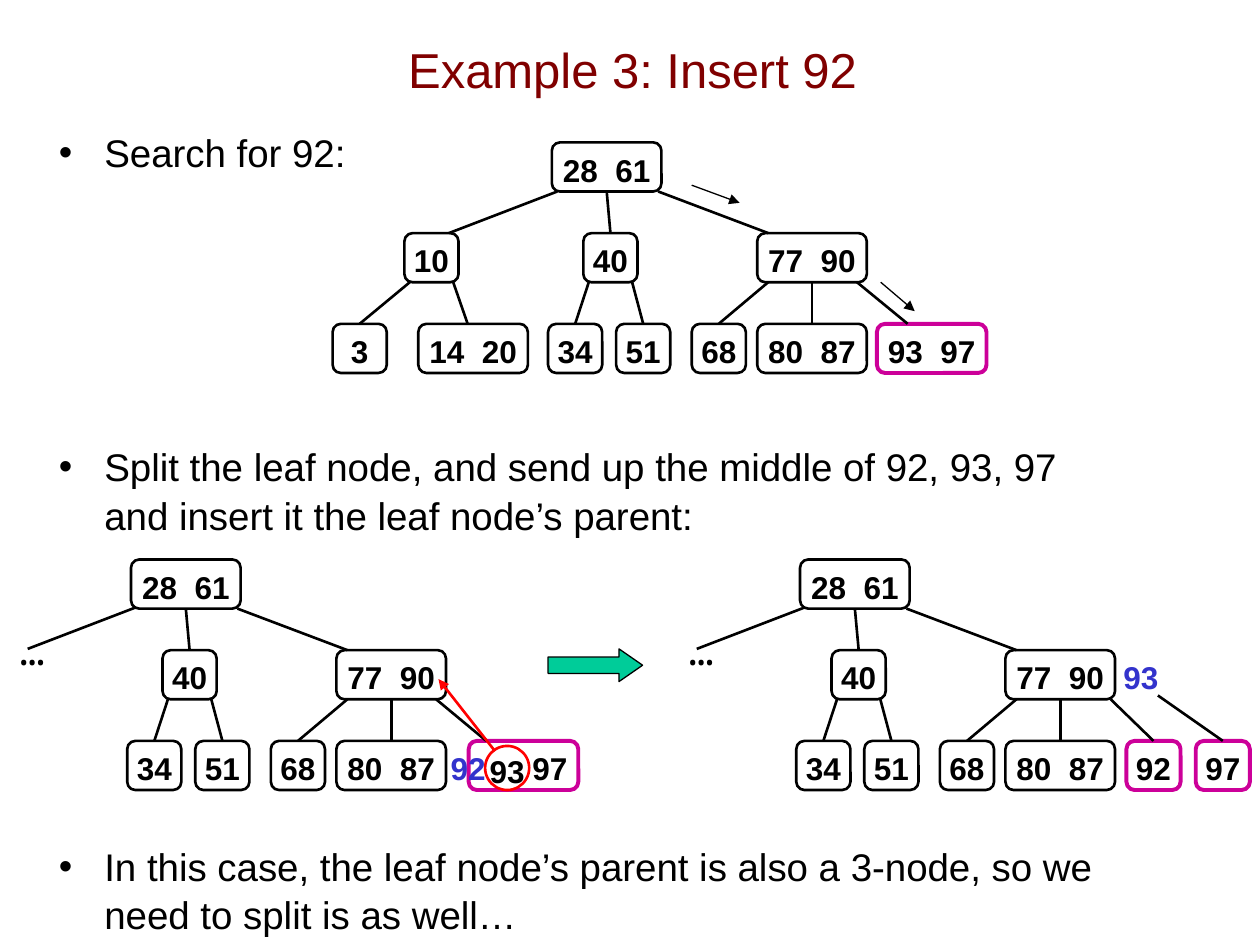
"""Build the slide on inserting 92 into a 2-3 tree."""
from dataclasses import dataclass

from lxml import etree
from pptx import Presentation
from pptx.dml.color import RGBColor
from pptx.enum.shapes import MSO_CONNECTOR, MSO_SHAPE
from pptx.enum.text import MSO_ANCHOR, PP_ALIGN
from pptx.oxml.ns import qn
from pptx.shapes.autoshape import Shape
from pptx.shapes.connector import Connector
from pptx.slide import Slide
from pptx.util import Emu, Inches, Pt

STRAIGHT = MSO_CONNECTOR.STRAIGHT
ROUNDED, OVAL, RIGHT_ARROW = MSO_SHAPE.ROUNDED_RECTANGLE, MSO_SHAPE.OVAL, MSO_SHAPE.RIGHT_ARROW
LEFT, CENTER = PP_ALIGN.LEFT, PP_ALIGN.CENTER
TOP, MIDDLE = MSO_ANCHOR.TOP, MSO_ANCHOR.MIDDLE
TOP_SIDE, BOTTOM_SIDE = 0, 2

SLIDE_WIDTH, SLIDE_HEIGHT = Inches(10), Inches(7.5)
COLUMN, ROW = SLIDE_WIDTH // 100, SLIDE_HEIGHT // 75
LEVEL_ROWS, NODE_ROWS = 7.2, 3.9
SINGLE, DOUBLE = 4.3, 8.7
BLACK, WHITE, MAROON = "000000", "FFFFFF", "800000"
MAGENTA, RED, BLUE, GREEN = "CC0099", "FF0000", "3333CC", "00CC99"


@dataclass(frozen=True)
class Node:
    """A tree node, placed in columns from the root and by level."""
    keys: str
    column: float
    level: int
    columns: float = SINGLE
    outline: str = BLACK
    weight: float = 1.5


@dataclass(frozen=True)
class Edge:
    """A branch, with its ends as shares of the node widths."""
    parent: str
    child: str
    leave: float = 0.5
    enter: float = 0.5


@dataclass(frozen=True)
class Tree:
    """A tree, placed by the corner of its root."""
    column: float
    row: float
    nodes: tuple[Node, ...]
    edges: tuple[Edge, ...]
    elided: bool = True


SHARED_NODES = (
    Node("28  61", 0, 0, DOUBLE), Node("40", 2.5, 1), Node("77  90", 16.3, 1, DOUBLE),
    Node("34", -0.3, 2), Node("51", 5.1, 2), Node("68", 11.1, 2),
    Node("80  87", 16.3, 2, DOUBLE),
)
SHARED_EDGES = (
    Edge("28  61", "40"), Edge("28  61", "77  90", 0.97, 0.1),
    Edge("40", "34", 0.1), Edge("40", "51", 0.9),
    Edge("77  90", "68", 0.1), Edge("77  90", "80  87"),
)
TREES = (
    Tree(43.8, 11.3, SHARED_NODES + (
        Node("10", -11.7, 1), Node("3", -17.4, 2), Node("14  20", -10.6, 2, DOUBLE),
        Node("93  97", 25.8, 2, DOUBLE, MAGENTA, 2.25),
    ), SHARED_EDGES + (
        Edge("28  61", "10", 0.05, 0.82), Edge("10", "3", 0.1),
        Edge("10", "14  20", 0.9, 0.45), Edge("77  90", "93  97", 0.91, 0.28),
    ), elided=False),
    Tree(10.4, 44.4, SHARED_NODES + (Node("", 26.8, 2, DOUBLE, MAGENTA, 2.25),),
         SHARED_EDGES + (Edge("77  90", "", 0.91, 0.16),)),
    Tree(63.5, 44.4, SHARED_NODES + (
        Node("92", 25.9, 2, SINGLE, MAGENTA, 2.25), Node("97", 31.4, 2, SINGLE, MAGENTA, 2.25),
    ), SHARED_EDGES + (Edge("77  90", "92", 0.96),)),
)
BULLETS = (
    (9.6, "Search for 92:"),
    (34.5, "Split the leaf node, and send up the middle of 92, 93, 97\n"
           "and insert it the leaf node’s parent:"),
    (66.2, "In this case, the leaf node’s parent is also a 3-node, so we\n"
           "need to split is as well…"),
)


def rgb(color: str) -> RGBColor:
    """Turn a hex string into a colour."""
    return RGBColor.from_string(color)


def place(column: float, row: float) -> tuple[Emu, Emu]:
    """Turn a grid position or size into slide lengths."""
    return Emu(round(column * COLUMN)), Emu(round(row * ROW))


def write(holder: Shape, words: str, size: float = 18, color: str = BLACK, bold: bool = True,
          align: PP_ALIGN = CENTER, anchor: MSO_ANCHOR = MIDDLE, font: str = "Arial") -> None:
    """Set the single paragraph of a shape."""
    frame = holder.text_frame
    frame.word_wrap = False
    frame.vertical_anchor = anchor
    paragraph = frame.paragraphs[0]
    paragraph.text = words
    paragraph.alignment = align
    paragraph.font.name, paragraph.font.size, paragraph.font.bold = font, Pt(size), bold
    paragraph.font.color.rgb = rgb(color)


def add_label(slide: Slide, column: float, row: float, columns: float, rows: float,
              words: str, **style) -> Shape:
    """Add a text box."""
    label = slide.shapes.add_textbox(*place(column, row), *place(columns, rows))
    write(label, words, **style)
    return label


def add_bullet(slide: Slide, row: float, words: str) -> None:
    """Add a bulleted statement."""
    bullet = add_label(slide, 3.7, row, 96.3, 8.5, words, size=22, bold=False,
                       align=LEFT, anchor=TOP)
    bullet.text_frame.word_wrap = True
    paragraph = bullet.text_frame.paragraphs[0]
    paragraph.line_spacing = 1.05
    properties = paragraph._p.get_or_add_pPr()
    properties.set("marL", str(Inches(0.36)))
    properties.set("indent", str(-Inches(0.36)))
    etree.SubElement(properties, qn("a:buFont")).set("typeface", "Arial")
    etree.SubElement(properties, qn("a:buChar")).set("char", "•")


def add_outline(slide: Slide, kind: MSO_SHAPE, column: float, row: float, columns: float,
                rows: float, outline: str, weight: float, fill: str = WHITE) -> Shape:
    """Add a filled and outlined shape."""
    outlined = slide.shapes.add_shape(kind, *place(column, row), *place(columns, rows))
    outlined.shadow.inherit = False
    outlined.fill.solid()
    outlined.fill.fore_color.rgb = rgb(fill)
    outlined.line.color.rgb = rgb(outline)
    outlined.line.width = Pt(weight)
    frame = outlined.text_frame
    frame.margin_left = frame.margin_right = frame.margin_bottom = 0
    frame.margin_top = Inches(0.04)
    return outlined


def add_line(slide: Slide, start: tuple[int, int], end: tuple[int, int], color: str = BLACK,
             weight: float = 1.5, arrow: bool = False) -> Connector:
    """Add a straight line, with an arrowhead at its end if asked."""
    line = slide.shapes.add_connector(STRAIGHT, *start, *end)
    line.line.color.rgb = rgb(color)
    line.line.width = Pt(weight)
    if arrow:
        etree.SubElement(line.line._get_or_add_ln(), qn("a:tailEnd")).set("type", "triangle")
    etree.SubElement(line._element.spPr, qn("a:effectLst"))
    return line


def draw_tree(slide: Slide, tree: Tree) -> None:
    """Draw the nodes of a tree and the branches between them."""
    nodes = {}
    for node in tree.nodes:
        box = add_outline(slide, ROUNDED, tree.column + node.column,
                          tree.row + node.level * LEVEL_ROWS, node.columns, NODE_ROWS,
                          node.outline, node.weight)
        if node.keys:
            write(box, node.keys)
        nodes[node.keys] = box
    for edge in tree.edges:
        parent, child = nodes[edge.parent], nodes[edge.child]
        start = round(parent.left + edge.leave * parent.width), parent.top + parent.height
        end = round(child.left + edge.enter * child.width), child.top
        branch = add_line(slide, start, end)
        if edge.leave == 0.5:
            branch.begin_connect(parent, BOTTOM_SIDE)
        if edge.enter == 0.5:
            branch.end_connect(child, TOP_SIDE)
    if tree.elided:
        add_line(slide, place(tree.column + 0.4, tree.row + 3.8),
                 place(tree.column - 8.2, tree.row + 7.1))
        add_label(slide, tree.column - 9.9, tree.row + 4.6, 4.1, 5, "…", size=24,
                  bold=False, anchor=TOP, font="Noto Sans Mono")
    if "97" in nodes:
        add_line(slide, place(91.9, 55.2), place(95, 58.8)).end_connect(nodes["97"], TOP_SIDE)


def main() -> None:
    """Build and save the slide."""
    deck = Presentation()
    deck.slide_width, deck.slide_height = SLIDE_WIDTH, SLIDE_HEIGHT
    slide = deck.slides.add_slide(deck.slide_layouts[6])
    add_label(slide, 4.3, 0.8, 91.8, 9.3, "Example 3: Insert 92", size=28, color=MAROON, bold=False)
    for row, words in BULLETS:
        add_bullet(slide, row, words)
    for tree in TREES:
        draw_tree(slide, tree)
    for start, end in (((54.9, 14.7), (58.7, 16.1)), ((69.9, 22.4), (72.6, 24.7))):
        add_line(slide, place(*start), place(*end), weight=0.75, arrow=True)
    becomes = add_outline(slide, RIGHT_ARROW, 43.5, 51.5, 7.5, 2.6, BLACK, 0.75, GREEN)
    becomes.adjustments[1] = 0.72
    write(add_outline(slide, OVAL, 38.5, 59.2, 3.5, 3.5, RED, 1.5), "93")
    add_line(slide, place(39.2, 59.5), place(34.8, 53.9), RED, arrow=True)
    for column, row, key, color in ((40.6, 58.9, "97", BLACK), (34.1, 58.9, "92", BLUE),
                                    (87.5, 51.7, "93", BLUE)):
        add_label(slide, column, row, 6.1, 4.1, key, color=color)
    deck.save("out.pptx")


if __name__ == "__main__":
    main()
